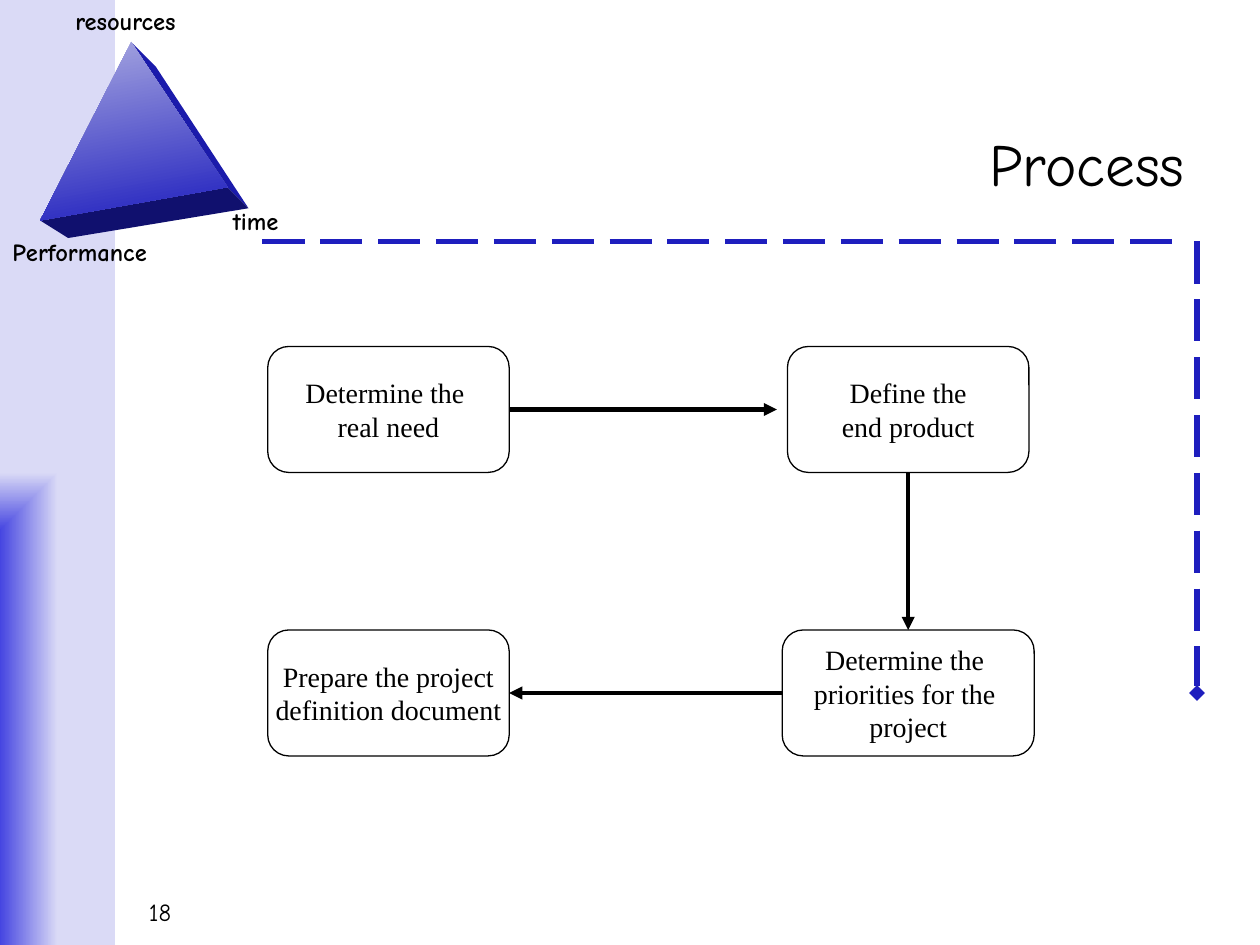
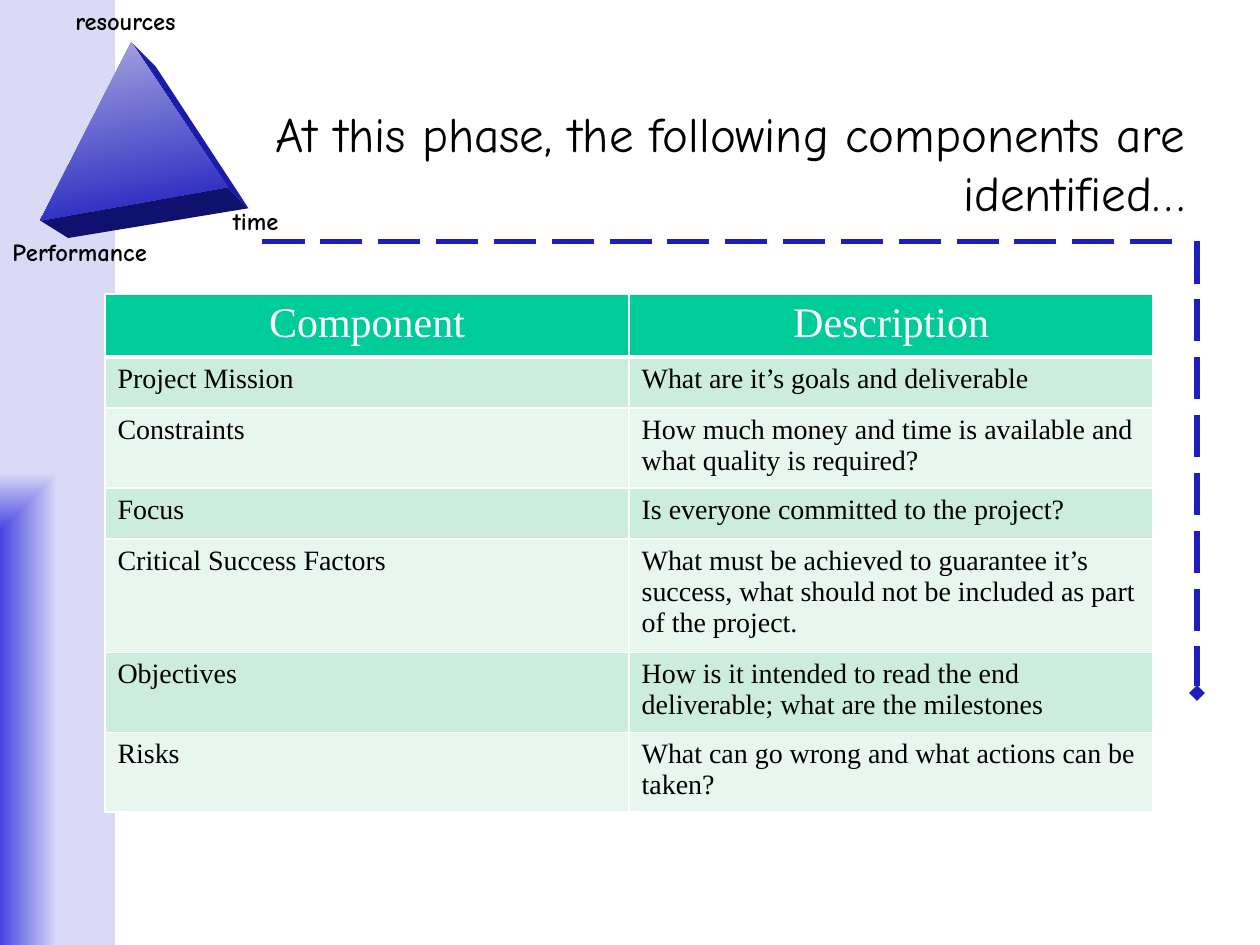
import dataclasses

import pptx
import pptx.dml.color
import pptx.enum.dml
import pptx.enum.shapes
import pptx.enum.text
import pptx.oxml
import pptx.oxml.ns
import pptx.util

Pt = pptx.util.Pt
Align = pptx.enum.text.PP_ALIGN
Anchor = pptx.enum.text.MSO_ANCHOR
Shape = pptx.enum.shapes.MSO_SHAPE
qn = pptx.oxml.ns.qn


@dataclasses.dataclass(frozen=True)
class Theme:
    display: str = "Comic Neue"
    body: str = "Times New Roman"
    ink: str = "000000"
    paper: str = "FFFFFF"
    accent: str = "1E1EBE"
    band: tuple = ("4545E1", "DADAF6")
    prism_front: tuple = ("A8A8E0", "1E1EBE")
    prism_right: str = "1B1BAB"
    prism_base: str = "10106E"
    table_head: str = "00CC99"
    table_rows: tuple = ("CCECDE", "E7F6EF")
    title_size: int = 34
    long_title_size: int = 28
    label_size: int = 14
    body_size: int = 16
    head_size: int = 24


THEME = Theme()
PAGE_WIDTH, PAGE_HEIGHT = 720, 540

# Prism corners and the words around it
APEX, LEFT, RIGHT = (75, 24), (23, 126), (130, 107)
BACK_APEX, BACK_RIGHT, BACK_LEFT = (89, 38), (142, 119), (39, 136)
PRISM_LABELS = [
    ("resources", 36, 0, 79),
    ("Performance", 0, 132, 99),
    ("time", 126, 114, 44),
]

PROCESS_TITLE = "Process"
PAGE_NUMBER = "18"
# name: (column, row, width, lines)
STEPS = {
    "need": (0, 0, 138, "Determine the \nreal need"),
    "product": (1, 0, 138, "Define the\nend product"),
    "priorities": (1, 1, 144, "Determine the \npriorities for the \nproject"),
    "document": (0, 1, 138, "Prepare the project\ndefinition document"),
}
COLUMN_CENTRES = (222, 519)
ROW_TOPS = (198, 360)
STEP_HEIGHT = 72
TOP, LEFT_SIDE, BOTTOM, RIGHT_SIDE = range(4)

COMPONENTS_TITLE = "At this phase, the following components are identified…"
COMPONENTS = [
    ("Component", "Description"),
    ("Project Mission", "What are it’s goals and deliverable"),
    ("Constraints", "How much money and time is available and what quality is required?"),
    ("Focus", "Is everyone committed to the project?"),
    ("Critical Success Factors",
     "What must be achieved to guarantee it’s success, what should not be "
     "included as part of the project."),
    ("Objectives", "How is it intended to read the end deliverable; what are the milestones"),
    ("Risks", "What can go wrong and what actions can be taken?"),
]
TABLE_LEFT, TABLE_TOP, COLUMN_WIDTH, ROW_HEIGHT = 60, 168, 299.5, 29.2


def rgb(value):
    return pptx.dml.color.RGBColor.from_string(value)


def write(frame, text, font, size, color=THEME.ink, align=Align.LEFT, bold=False):
    frame.text = text
    for para in frame.paragraphs:
        para.alignment = align
        for span in para.runs:
            span.font.name = font
            span.font.size = Pt(size)
            span.font.bold = bold
            span.font.color.rgb = rgb(color)


def add_text(page, text, left, top, width, height, size, wrap=True,
             anchor=Anchor.TOP, **style):
    box = page.shapes.add_textbox(Pt(left), Pt(top), Pt(width), Pt(height))
    frame = box.text_frame
    frame.word_wrap = wrap
    frame.vertical_anchor = anchor
    write(frame, text, THEME.display, size, **style)


def add_line(page, start, end, color, width, tail=None, dash=None):
    line = page.shapes.add_connector(
        pptx.enum.shapes.MSO_CONNECTOR.STRAIGHT, *(Pt(n) for n in (*start, *end)))
    line.line.color.rgb = rgb(color)
    line.line.width = Pt(width)
    if dash:
        line.line.dash_style = dash
    properties = line._element.spPr
    if tail:
        end_mark = pptx.oxml.parse_xml(
            f'<a:tailEnd {pptx.oxml.ns.nsdecls("a")} type="{tail}"/>')
        properties.find(qn("a:ln")).append(end_mark)
    properties.append(pptx.oxml.parse_xml(f'<a:effectLst {pptx.oxml.ns.nsdecls("a")}/>'))
    return line


def fill_gradient(shape, colors, angle=270):
    shape.fill.gradient()
    shape.fill.gradient_angle = angle
    for stop, color, position in zip(shape.fill.gradient_stops, colors, (0, 1)):
        stop.color.rgb = rgb(color)
        stop.position = position


def add_band(page):
    """Side band whose gradient spreads from its lower left corner."""
    band = page.shapes.add_shape(Shape.RECTANGLE, 0, 0, Pt(66), Pt(PAGE_HEIGHT))
    band.shadow.inherit = False
    band.line.fill.background()
    fill_gradient(band, THEME.band)
    gradient = band._element.spPr.find(qn("a:gradFill"))
    gradient.replace(gradient.find(qn("a:lin")), pptx.oxml.parse_xml(
        f'<a:path {pptx.oxml.ns.nsdecls("a")} path="rect">'
        '<a:fillToRect l="0" t="100000" r="100000" b="0"/></a:path>'))


def add_face(page, corners, color):
    builder = page.shapes.build_freeform(*corners[0], scale=Pt(1))
    builder.add_line_segments(corners[1:], close=True)
    face = builder.convert_to_shape()
    face.shadow.inherit = False
    face.line.fill.background()
    if isinstance(color, tuple):
        fill_gradient(face, color, angle=280)
    else:
        face.fill.solid()
        face.fill.fore_color.rgb = rgb(color)


def add_page(deck, title, title_size):
    """Page with the shared band, prism, dashed frame and title."""
    page = deck.slides.add_slide(deck.slide_layouts[6])
    add_band(page)
    add_face(page, (APEX, BACK_APEX, BACK_RIGHT, RIGHT), THEME.prism_right)
    add_face(page, (LEFT, RIGHT, BACK_RIGHT, BACK_LEFT), THEME.prism_base)
    add_face(page, (APEX, RIGHT, LEFT), THEME.prism_front)
    for text, left, top, width in PRISM_LABELS:
        add_text(page, text, left, top, width, 24, THEME.label_size, wrap=False, bold=True)
    dash = pptx.enum.dml.MSO_LINE.LONG_DASH
    add_line(page, (150, 138), (678, 138), THEME.accent, 3, dash=dash)
    add_line(page, (684, 138), (684, 396), THEME.accent, 3, "diamond", dash)
    add_text(page, title, 150, 48, 534, 90, title_size,
             anchor=Anchor.MIDDLE, align=Align.RIGHT)
    return page


def add_step(page, column, row, width, text):
    step = page.shapes.add_shape(
        Shape.FLOWCHART_ALTERNATE_PROCESS,
        Pt(COLUMN_CENTRES[column] - width / 2), Pt(ROW_TOPS[row]),
        Pt(width), Pt(STEP_HEIGHT))
    step.shadow.inherit = False
    step.fill.background()
    step.line.color.rgb = rgb(THEME.ink)
    step.line.width = Pt(0.75)
    step.text_frame.word_wrap = False
    step.text_frame.vertical_anchor = Anchor.MIDDLE
    write(step.text_frame, text, THEME.body, THEME.body_size, align=Align.CENTER)
    return step


def add_process(deck):
    page = add_page(deck, PROCESS_TITLE, THEME.title_size)
    add_text(page, PAGE_NUMBER, 78, 509, 462, 24, THEME.label_size)
    steps = {name: add_step(page, *place) for name, place in STEPS.items()}

    middle = ROW_TOPS[0] + STEP_HEIGHT / 2
    across = add_line(page, (291, middle), (444, middle), THEME.ink, 2.5, "triangle")
    across.begin_connect(steps["need"], RIGHT_SIDE)
    for source, source_side, target, target_side in (
            ("product", BOTTOM, "priorities", TOP),
            ("priorities", LEFT_SIDE, "document", RIGHT_SIDE)):
        arrow = add_line(page, (0, 0), (0, 0), THEME.ink, 2.5, "triangle")
        arrow.begin_connect(steps[source], source_side)
        arrow.end_connect(steps[target], target_side)


def set_borders(cell, bottom):
    """White rules around a cell, one point wide except the bottom one."""
    properties = cell._tc.get_or_add_tcPr()
    for index, (side, width) in enumerate(zip("LRTB", (1, 1, 1, bottom))):
        properties.insert(index, pptx.oxml.parse_xml(
            f'<a:ln{side} {pptx.oxml.ns.nsdecls("a")} w="{Pt(width)}"><a:solidFill>'
            f'<a:srgbClr val="{THEME.paper}"/></a:solidFill></a:ln{side}>'))


def add_components(deck):
    page = add_page(deck, COMPONENTS_TITLE, THEME.long_title_size)
    count = len(COMPONENTS)
    table = page.shapes.add_table(
        count, 2, Pt(TABLE_LEFT), Pt(TABLE_TOP),
        Pt(2 * COLUMN_WIDTH), Pt(count * ROW_HEIGHT)).table
    for row, texts in enumerate(COMPONENTS):
        head = row == 0
        for column, text in enumerate(texts):
            cell = table.cell(row, column)
            cell.fill.solid()
            cell.fill.fore_color.rgb = rgb(
                THEME.table_head if head else THEME.table_rows[(row - 1) % 2])
            set_borders(cell, bottom=3 if head else 1)
            write(cell.text_frame, text, THEME.body,
                  THEME.head_size if head else THEME.body_size,
                  THEME.paper if head else THEME.ink,
                  Align.CENTER if head else Align.LEFT)


def main():
    deck = pptx.Presentation()
    deck.slide_width, deck.slide_height = Pt(PAGE_WIDTH), Pt(PAGE_HEIGHT)
    add_process(deck)
    add_components(deck)
    deck.save("out.pptx")


if __name__ == "__main__":
    main()
